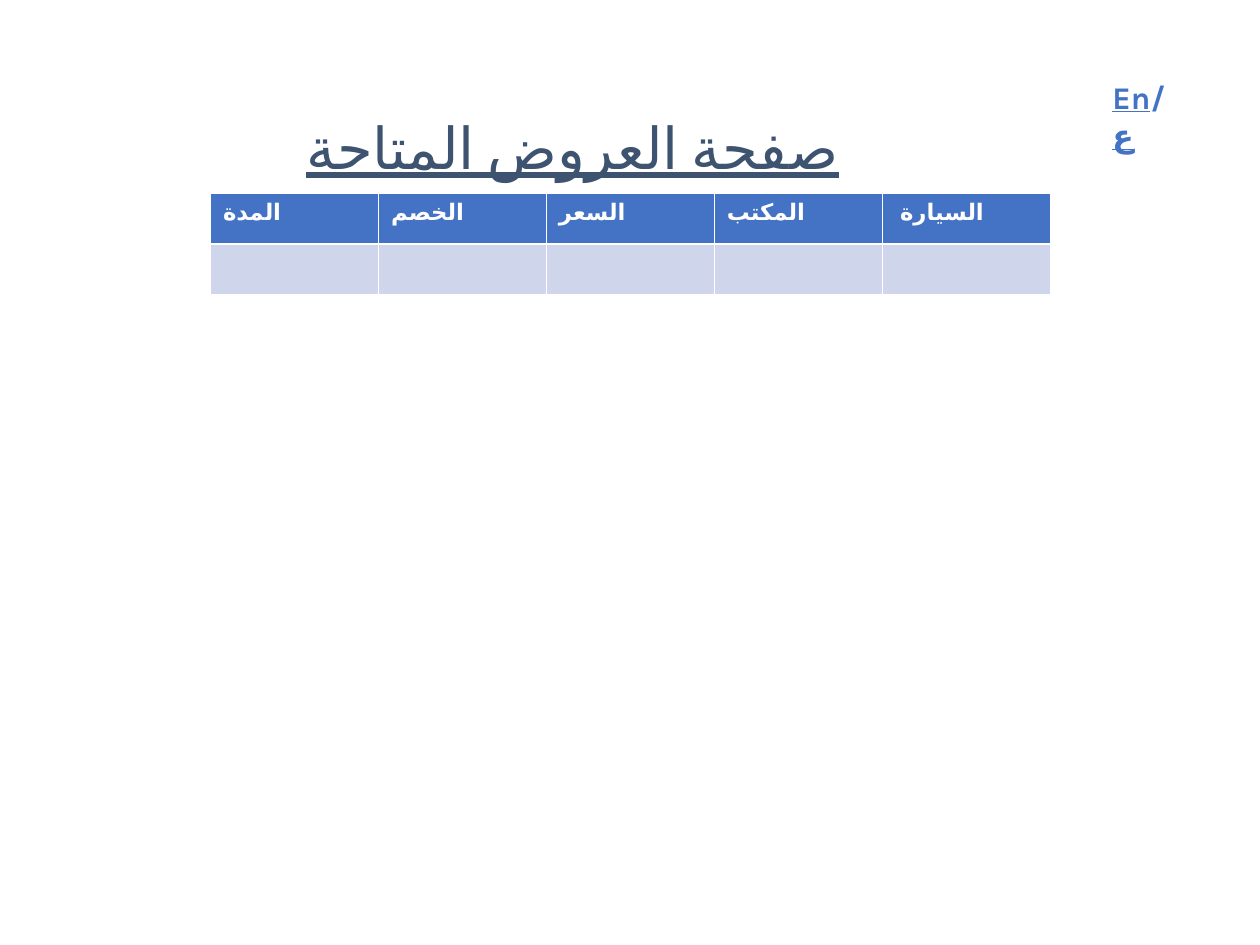
from dataclasses import dataclass

import pptx
import pptx.dml.color
import pptx.enum.lang
import pptx.enum.text
import pptx.oxml
import pptx.oxml.ns
import pptx.util
from lxml import etree

Pt = pptx.util.Pt
RGBColor = pptx.dml.color.RGBColor
qn = pptx.oxml.ns.qn

WHITE = RGBColor(0xFF, 0xFF, 0xFF)
SLATE = RGBColor(0x3E, 0x53, 0x70)
BLUE = RGBColor(0x44, 0x72, 0xC4)
PALE_BLUE = RGBColor(0xCF, 0xD5, 0xEA)

THIN, THICK = 0.45, 1.47
HEADINGS = ["المدة", "الخصم", "السعر", "المكتب", "السيارة "]
COLUMN_WIDTH = 96


@dataclass(frozen=True)
class TextStyle:
    name: str
    size: float
    color: RGBColor
    bold: bool = False


@dataclass(frozen=True)
class RowStyle:
    labels: list[str]
    height: float
    fill: RGBColor
    top_border: float
    bottom_border: float


TITLE = TextStyle("Calibri", 33, SLATE)
LANGUAGE = TextStyle("Karla", 18, BLUE, True)
HEADING = TextStyle("Calibri", 13, WHITE, True)
ROWS = [
    RowStyle(HEADINGS, 29.3, BLUE, THIN, THICK),
    RowStyle([""] * len(HEADINGS), 28.8, PALE_BLUE, THICK, THIN),
]


def style_paragraph(paragraph, style: TextStyle) -> None:
    font = paragraph.font
    font.name = style.name
    font.size = Pt(style.size)
    font.bold = style.bold
    font.color.rgb = style.color
    font.language_id = pptx.enum.lang.MSO_LANGUAGE_ID.ARABIC
    paragraph.alignment = pptx.enum.text.PP_ALIGN.LEFT
    # Arabic letters take the complex-script typeface
    defaults = paragraph._p.get_or_add_pPr().find(qn("a:defRPr"))
    etree.SubElement(defaults, qn("a:cs"), typeface=style.name)


def add_text(slide, left: float, top: float, width: float, height: float,
             runs: list[tuple[str, bool]], style: TextStyle):
    """Add a text box from (text, underlined) runs."""
    frame = slide.shapes.add_textbox(Pt(left), Pt(top), Pt(width), Pt(height)).text_frame
    frame.word_wrap = True
    paragraph = frame.paragraphs[0]
    style_paragraph(paragraph, style)
    for text, underlined in runs:
        run = paragraph.add_run()
        run.text = text
        run.font.underline = underlined
    return frame


def set_borders(cell, top: float, bottom: float) -> None:
    properties = cell._tc.get_or_add_tcPr()
    widths = {"lnL": THIN, "lnR": THIN, "lnT": top, "lnB": bottom}
    for index, (side, width) in enumerate(widths.items()):
        line = etree.Element(qn(f"a:{side}"), w=str(int(Pt(width))))
        fill = etree.SubElement(line, qn("a:solidFill"))
        etree.SubElement(fill, qn("a:srgbClr"), val=str(WHITE))
        properties.insert(index, line)


def fill_cell(cell, label: str, row: RowStyle) -> None:
    cell.text = label
    paragraph = cell.text_frame.paragraphs[0]
    style_paragraph(paragraph, HEADING)
    paragraph._p.get_or_add_pPr().set("rtl", "1")
    cell.fill.solid()
    cell.fill.fore_color.rgb = row.fill
    set_borders(cell, row.top_border, row.bottom_border)


def add_offers_table(slide) -> None:
    table = slide.shapes.add_table(
        len(ROWS), len(HEADINGS), Pt(120.3), Pt(110.2),
        Pt(COLUMN_WIDTH * len(HEADINGS)), Pt(sum(row.height for row in ROWS))).table
    for column in table.columns:
        column.width = Pt(COLUMN_WIDTH)
    for row_index, row in enumerate(ROWS):
        table.rows[row_index].height = Pt(row.height)
        for column_index, label in enumerate(row.labels):
            fill_cell(table.cell(row_index, column_index), label, row)


presentation = pptx.Presentation()
presentation.slide_width, presentation.slide_height = Pt(720), Pt(540)
slide = presentation.slides.add_slide(presentation.slide_layouts[6])

# Title
title = add_text(slide, 168, 41, 348, 90, [("صفحة العروض المتاحة", True)], TITLE)
title.vertical_anchor = pptx.enum.text.MSO_ANCHOR.MIDDLE
title.paragraphs[0].line_spacing = 0.9

# Language switch
add_text(slide, 628.6, 41, 56, 29, [("En", True), ("/", False), ("ع", True)], LANGUAGE)

# Offers table
add_offers_table(slide)

presentation.save("out.pptx")
